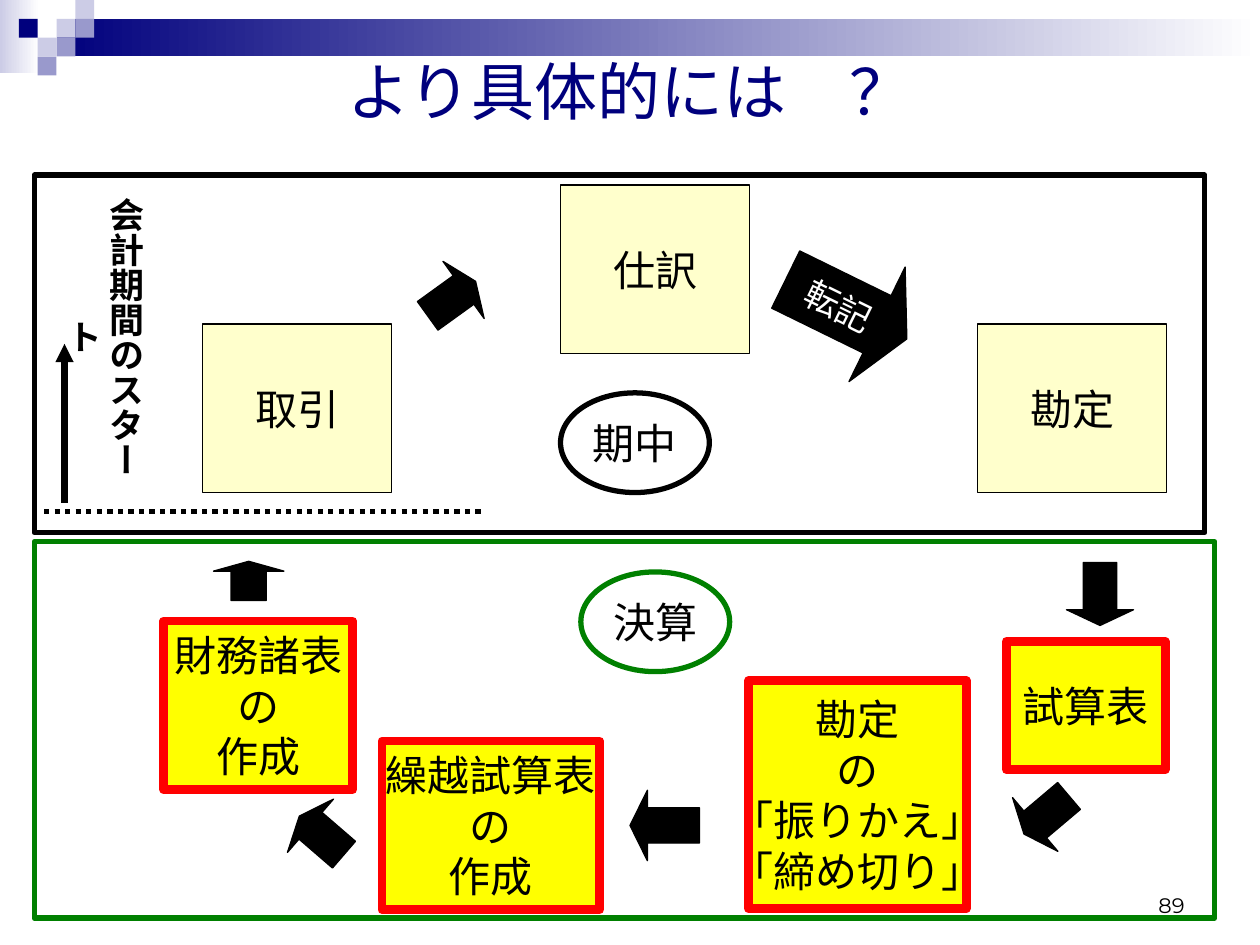
from lxml import etree
from pptx import Presentation, util as u
from pptx.dml.color import RGBColor
from pptx.enum import dml, shapes, text
from pptx.oxml.ns import qn

hues = {"navy": "00007D", "lilac": "CCCCE6", "mauve": "9999CC", "white": "FFFFFF",
        "black": "000000", "cream": "FFFFCC", "yellow": "FFFF00", "red": "FF0000",
        "green": "008000"}
rgb = {name: RGBColor.from_string(code) for name, code in hues.items()}
kinds = shapes.MSO_SHAPE
center, right = text.PP_ALIGN.CENTER, text.PP_ALIGN.RIGHT
middle, bottom = text.MSO_ANCHOR.MIDDLE, text.MSO_ANCHOR.BOTTOM

deck = Presentation()
deck.slide_width, deck.slide_height = u.Cm(25.4), u.Cm(19.05)
slide = deck.slides.add_slide(deck.slide_layouts[5])


def draw(kind, place, fill=None, edge=None, width=0.75):
    shape = slide.shapes.add_shape(kind, *map(u.Cm, place))
    shape.shadow.inherit = False
    if fill:
        shape.fill.solid()
        shape.fill.fore_color.rgb = rgb[fill]
    else:
        shape.fill.background()
    if edge:
        shape.line.color.rgb = rgb[edge]
        shape.line.width = u.Pt(width)
    else:
        shape.line.fill.background()
    return shape


def write(shape, words, size=24, hue="black", face="Arial", bold=False,
          align=center, anchor=middle, wrap=False):
    frame = shape.text_frame
    frame.text = words
    for key, value in {"word_wrap": wrap, "vertical_anchor": anchor}.items():
        setattr(frame, key, value)
    form = {"size": u.Pt(size), "name": face, "bold": bold}
    for para in frame.paragraphs:
        para.alignment = align
        para.font.color.rgb = rgb[hue]
        for key, value in form.items():
            setattr(para.font, key, value)


for place, start in [((0, 0, 0.79, 1.47), "lilac"), ((1.14, 0.38, 24.26, 0.76), "navy")]:
    band = draw(kinds.RECTANGLE, place)
    band.fill.gradient()
    band.fill.gradient_angle = 0
    for stop, hue, spot in zip(band.fill.gradient_stops, (start, "white"), (0, 1)):
        stop.color.rgb = rgb[hue]
        stop.position = spot

side = 0.38
for col, row, hue in [(3, 1, "lilac"), (4, 0, "lilac"), (4, 1, "mauve"), (2, 2, "lilac"),
                      (1, 1, "navy"), (3, 2, "mauve"), (2, 3, "mauve")]:
    draw(kinds.RECTANGLE, (col * side, row * side, side, side), hue)

title = slide.shapes.title
for key, value in {"left": -0, "top": -0.08, "width": 22.86, "height": 3.81}.items():
    setattr(title, key, u.Cm(value))
title.left = u.Cm(1.27)
write(title, "より具体的には\u3000？".replace("\u3000", "　"), 36, "navy", wrap=True)

page = slide.shapes.add_textbox(*map(u.Cm, (18.21, 17.35, 5.92, 1.27)))
write(page, "89", 12, face="Montserrat", align=right, anchor=bottom, wrap=True)

for place, turn, words in [
        ((15.7, 4.95, 2.72, 2.57), 26.1, "転記"),
        ((21.54, 11.3, 1.27, 1.35), 90, ""),
        ((20.5, 15.72, 1.19, 1.42), 139.8, ""),
        ((12.7, 15.93, 1.4, 1.42), 180, ""),
        ((5.89, 16.13, 1.19, 1.42), 220.8, ""),
        ((4.62, 11, 0.79, 1.42), 270, ""),
        ((8.51, 5.31, 1.19, 1.42), 324.2, "")]:
    arrow = draw(kinds.RIGHT_ARROW, place, "black", "black")
    arrow.rotation = turn
    arrow.adjustments[1] = 0.26 if words else 0.25
    if words:
        write(arrow, words, 20, "white")

for ends, width, dash, head in [
        ((0.89, 10.31, 9.7, 10.31), 3, dml.MSO_LINE.ROUND_DOT, None),
        ((1.3, 10.13, 1.3, 6.93), 3.5, None, "triangle")]:
    line = slide.shapes.add_connector(shapes.MSO_CONNECTOR.STRAIGHT, *map(u.Cm, ends))
    line.line.color.rgb = rgb["black"]
    line.line.width = u.Pt(width)
    if dash:
        line.line.dash_style = dash
    props = line.element.spPr
    if head:
        etree.SubElement(props.find(qn("a:ln")), qn("a:tailEnd"), type=head)
    etree.SubElement(props, qn("a:effectLst"))

label = slide.shapes.add_textbox(*map(u.Cm, (0.91, 3.73, 2.18, 6.4)))
write(label, "会計期間のスタート", 20, bold=True, anchor=text.MSO_ANCHOR.TOP, wrap=True)
for key, value in {"left": 0.13, "top": 0.25, "right": 0.13, "bottom": 0.25}.items():
    setattr(label.text_frame, "margin_" + key, u.Cm(value))
label.element.find(".//" + qn("a:bodyPr")).set("vert", "eaVert")

for left, top, words in [(11.3, 3.73, "仕訳"), (19.71, 6.53, "勘定"), (4.09, 6.53, "取引")]:
    write(draw(kinds.RECTANGLE, (left, top, 3.81, 3.4), "cream", "black"), words)

for place, words in [
        ((3.3, 12.52, 3.81, 3.4), "財務諸表\nの\n作成"),
        ((7.7, 14.94, 4.39, 3.4), "繰越試算表\nの\n作成"),
        ((20.29, 12.93, 3.2, 2.59), "試算表"),
        ((15.09, 13.72, 4.39, 4.6), "勘定\nの\n「振りかえ」\n「締め切り」")]:
    write(draw(kinds.RECTANGLE, place, "yellow", "red", 5), words)

for frame, left, top, words, hue in [
        ((0.69, 3.53, 23.6, 7.21), 11.3, 7.92, "期中", "black"),
        ((0.69, 10.92, 23.8, 7.59), 11.71, 11.53, "決算", "green")]:
    draw(kinds.RECTANGLE, frame, None, hue, 3)
    write(draw(kinds.OVAL, (left, top, 3, 2.01), "white", hue, 3), words)

deck.save("out.pptx")
